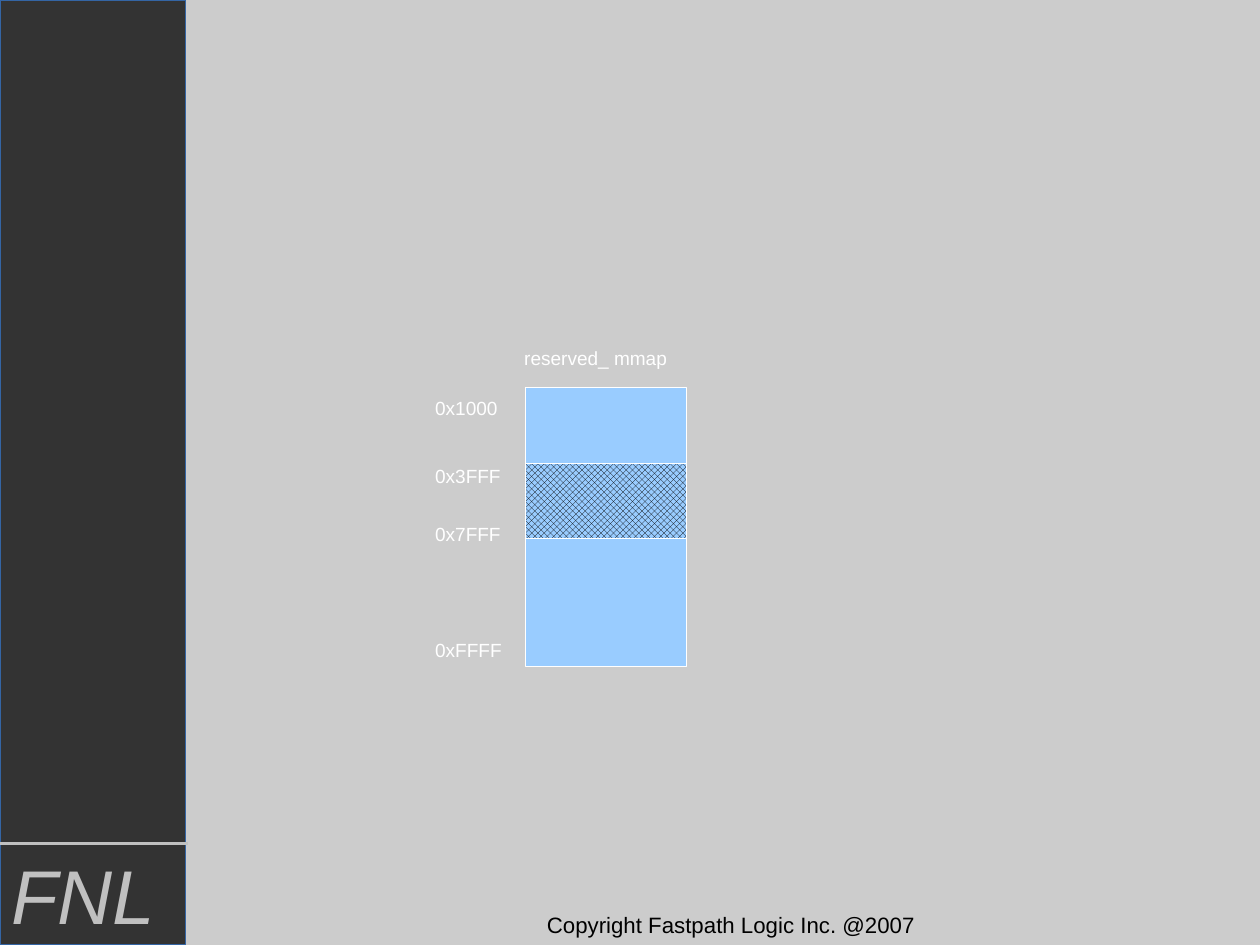
from lxml.etree import SubElement
from pptx import Presentation
from pptx.dml.color import RGBColor
from pptx.enum.dml import MSO_PATTERN
from pptx.enum.shapes import MSO_CONNECTOR, MSO_SHAPE
from pptx.enum.text import PP_ALIGN
from pptx.oxml.ns import qn
from pptx.util import Cm, Pt

BACKGROUND = RGBColor(0xCC, 0xCC, 0xCC)
SIDEBAR = RGBColor(0x33, 0x33, 0x33)
SIDEBAR_EDGE = RGBColor(0x34, 0x65, 0xA4)
SILVER = RGBColor(0xC0, 0xC0, 0xC0)
MEMORY = RGBColor(0x99, 0xCC, 0xFF)
WHITE = RGBColor(0xFF, 0xFF, 0xFF)
BLACK = RGBColor(0x00, 0x00, 0x00)

MAP_LEFT, MAP_WIDTH = 11.68, 3.58
ADDRESS_LEFT = 9.42
ADDRESSES = [("0x1000", 8.69), ("0x3FFF", 10.19), ("0x7FFF", 11.48), ("0xFFFF", 14.07)]


def add_block(slide, left, top, width, height, fill, edge):
    block = slide.shapes.add_shape(
        MSO_SHAPE.RECTANGLE, Cm(left), Cm(top), Cm(width), Cm(height))
    block.shadow.inherit = False
    block.fill.solid()
    block.fill.fore_color.rgb = fill
    block.line.color.rgb = edge
    block.line.width = Pt(0)
    return block


def add_label(slide, left, top, width, height, text, size, color,
              italic=False, align=PP_ALIGN.LEFT):
    frame = slide.shapes.add_textbox(
        Cm(left), Cm(top), Cm(width), Cm(height)).text_frame
    frame.word_wrap = True
    paragraph = frame.paragraphs[0]
    paragraph.alignment = align
    run = paragraph.add_run()
    run.text = text
    run.font.name = "Arial"
    run.font.size = Pt(size)
    run.font.italic = italic
    run.font.color.rgb = color


def add_rule(slide, left, right, top, color):
    rule = slide.shapes.add_connector(
        MSO_CONNECTOR.STRAIGHT, Cm(left), Cm(top), Cm(right), Cm(top))
    rule.line.color.rgb = color
    rule.line.width = Pt(0)
    SubElement(rule._element.spPr, qn("a:effectLst"))


def main():
    deck = Presentation()
    deck.slide_width, deck.slide_height = Cm(28), Cm(21)
    slide = deck.slides.add_slide(deck.slide_layouts[6])
    slide.background.fill.solid()
    slide.background.fill.fore_color.rgb = BACKGROUND

    # Sidebar with initials
    add_block(slide, 0, 0, 4.12, 21, SIDEBAR, SIDEBAR_EDGE)
    add_label(slide, 0, 18.72, 5.23, 2.16, "FNL", 48, SILVER, italic=True)
    add_rule(slide, 0, 4.17, 18.75, SILVER)

    # Memory map with its addresses
    add_block(slide, MAP_LEFT, 8.61, MAP_WIDTH, 6.2, MEMORY, WHITE)
    add_label(slide, 11.4, 7.57, 4.29, 0.79, "reserved_ mmap", 12, WHITE)
    for address, top in ADDRESSES:
        add_label(slide, ADDRESS_LEFT, top, 2.18, 0.79, address, 12, WHITE)

    # Hatched reserved region
    reserved = add_block(slide, MAP_LEFT, 10.31, MAP_WIDTH, 1.66, MEMORY, WHITE)
    reserved.fill.patterned()
    reserved.fill.pattern = MSO_PATTERN.OUTLINED_DIAMOND
    reserved.fill.fore_color.rgb = BLACK
    reserved.fill.back_color.rgb = MEMORY

    # Footer
    add_label(slide, 9.68, 20.12, 13.13, 0.86, "Copyright Fastpath Logic Inc. @2007",
              14, BLACK, align=PP_ALIGN.CENTER)

    deck.save("out.pptx")


if __name__ == "__main__":
    main()
